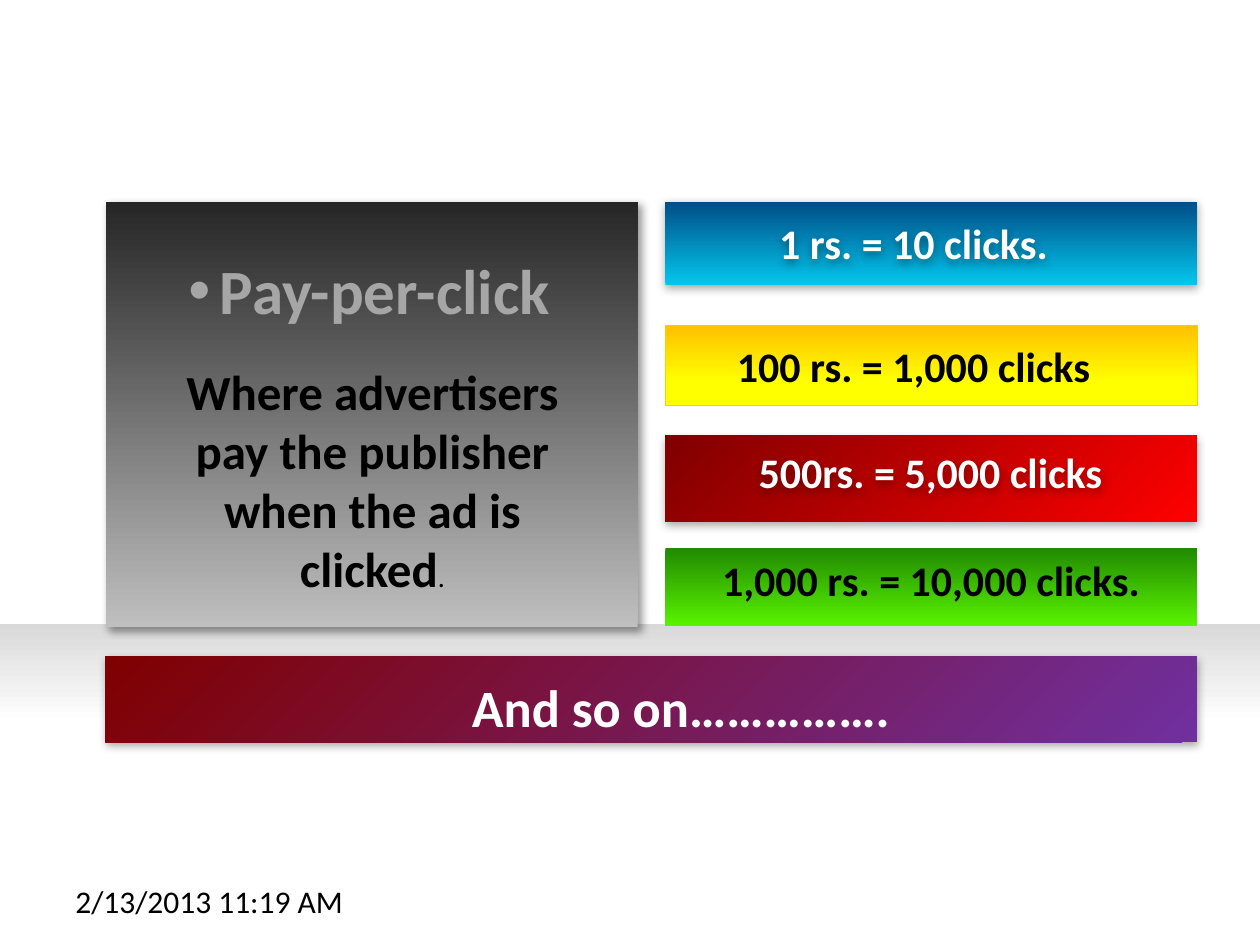
"""Build the pay-per-click pricing slide."""
import lxml.etree
import pptx
import pptx.dml.color
import pptx.enum.shapes
import pptx.enum.text
import pptx.oxml
import pptx.oxml.ns
import pptx.util

RGB = pptx.dml.color.RGBColor
ALIGN = pptx.enum.text.PP_ALIGN
ANCHOR = pptx.enum.text.MSO_ANCHOR
NS = pptx.oxml.ns.nsdecls("a")

BLACK = RGB(0x00, 0x00, 0x00)
WHITE = RGB(0xFF, 0xFF, 0xFF)
SILVER = RGB(0xA6, 0xA6, 0xA6)
PALE = RGB(0xD9, 0xD9, 0xD9)
GREY = RGB(0xBF, 0xBF, 0xBF)
CHARCOAL = RGB(0x26, 0x26, 0x26)
SKY = RGB(0x03, 0xC6, 0xED)
NAVY = RGB(0x00, 0x4D, 0x86)
AMBER = RGB(0xFF, 0xC0, 0x00)
YELLOW = RGB(0xFF, 0xFF, 0x00)
GOLD = RGB(0xFF, 0xCC, 0x00)
GREEN = RGB(0x20, 0x8A, 0x00)
LIME = RGB(0x5A, 0xF3, 0x00)
RED = RGB(0xFF, 0x00, 0x00)
MAROON = RGB(0x80, 0x00, 0x00)
PURPLE = RGB(0x70, 0x30, 0xA0)

prs = pptx.Presentation()
prs.slide_width = pptx.util.Inches(10)
prs.slide_height = pptx.util.Inches(7.5)
COL = prs.slide_width / 100
ROW = prs.slide_height / 100
s = prs.slides.add_slide(prs.slide_layouts[6])

SOFT = (35, 5, 1.8, 90)
DEEP = (40, 5, 3, 45)


def add_box(x, y, w, h, stops=None, angle=90, line=None, shadow=None):
    """Add a gradient rectangle, or a text box when there are no stops."""
    place = [int(v) for v in (x * COL, y * ROW, w * COL, h * ROW)]
    if stops:
        sp = s.shapes.add_shape(pptx.enum.shapes.MSO_SHAPE.RECTANGLE, *place)
        sp.shadow.inherit = False
        sp.line.fill.background()
        if line:
            sp.line.color.rgb = line
            sp.line.width = pptx.util.Pt(0.25)
        marks = "".join(
            f'<a:gs pos="{pos * 1000}"><a:srgbClr val="{color}"/></a:gs>' for pos, color in stops)
        sp.fill.background()
        old = sp.element.spPr.find(pptx.oxml.ns.qn("a:noFill"))
        sp.element.spPr.replace(old, pptx.oxml.parse_xml(
            f'<a:gradFill {NS} rotWithShape="1"><a:gsLst>{marks}</a:gsLst>'
            f'<a:lin ang="{angle * 60000}" scaled="0"/></a:gradFill>'))
    else:
        sp = s.shapes.add_textbox(*place)
        sp.text_frame.word_wrap = True
    if shadow:
        alpha, blur, dist, way = shadow
        sp.shadow.inherit = False
        effects = sp.element.spPr.find(pptx.oxml.ns.qn("a:effectLst"))
        effects.append(pptx.oxml.parse_xml(
            f'<a:outerShdw {NS} blurRad="{int(blur * 12700)}" dist="{int(dist * 12700)}" '
            f'dir="{way * 60000}" algn="ctr" rotWithShape="0"><a:srgbClr val="{BLACK}">'
            f'<a:alpha val="{alpha * 1000}"/></a:srgbClr></a:outerShdw>'))
    return sp


def add_text(p, text, size=24, color=BLACK, bold=True, align=ALIGN.CENTER):
    """Add a formatted run to a paragraph."""
    p.alignment = align
    r = p.add_run()
    r.text = text
    r.font.name = "Calibri"
    r.font.size = pptx.util.Pt(size)
    r.font.bold = bold
    r.font.color.rgb = color


add_box(0, 66, 100, 26.93, [(0, PALE), (39, WHITE)])
add_box(8.4, 21.33, 42.2, 45.07, [(0, GREY), (100, CHARCOAL)], 270, shadow=DEEP)

RATES = [
    ("1 rs. = 10 clicks.", WHITE, 21.33, 8.8, [(0, SKY), (100, NAVY)], 270, None, SOFT,
     (51.4, 42.2, 8.8), ANCHOR.MIDDLE),
    ("100 rs. = 1,000 clicks", BLACK, 34.4, 8.53, [(0, AMBER), (70, YELLOW), (100, YELLOW)],
     90, GOLD, None, (51.4, 42.2, 8.53), ANCHOR.MIDDLE),
    ("500rs. = 5,000 clicks", WHITE, 46.13, 9.07, [(0, RED), (100, MAROON)], 225, None, SOFT,
     (54.1, 39.5, 7.47), ANCHOR.MIDDLE),
    ("1,000 rs. = 10,000 clicks.", BLACK, 58, 8.27, [(0, GREEN), (100, LIME)], 90, None, None,
     (52.8, 42.2, 8.27), ANCHOR.TOP),
]
for text, color, y, h, stops, angle, line, shadow, (x, w, text_h), anchor in RATES:
    add_box(52.8, y, 42.2, h, stops, angle, line, shadow)
    tf = add_box(x, y, w, text_h, shadow=shadow).text_frame
    tf.vertical_anchor = anchor
    add_text(tf.paragraphs[0], text, color=color)

tf = add_box(11.6, 26, 35.9, 38.13).text_frame
p = tf.paragraphs[0]
pPr = p._p.get_or_add_pPr()
pPr.set("marL", str(pptx.util.Inches(0.25)))
pPr.set("indent", str(-pptx.util.Inches(0.25)))
lxml.etree.SubElement(pPr, pptx.oxml.ns.qn("a:buFont"), typeface="Arial")
lxml.etree.SubElement(pPr, pptx.oxml.ns.qn("a:buChar"), char="•")
add_text(p, "Pay-per-click", size=36, color=SILVER)
add_text(p, " ", size=16, color=SILVER, bold=False)
p = tf.add_paragraph()
p.space_before = pptx.util.Pt(19.5)
add_text(p, "Where advertisers pay the publisher when the ad is clicked", size=28)
add_text(p, ".", size=16, bold=False)

add_box(8.4, 69.47, 86.6, 9.07, [(0, PURPLE), (100, MAROON)], 225, shadow=SOFT)
tf = add_box(32.6, 70.8, 42.9, 8.13).text_frame
add_text(tf.paragraphs[0], "And so on…………….", size=30, color=WHITE)

tf = add_box(5, 92.67, 23.3, 5.33).text_frame
add_text(tf.paragraphs[0], "2/13/2013 11:19 AM", size=18, bold=False, align=ALIGN.LEFT)

prs.save("out.pptx")
